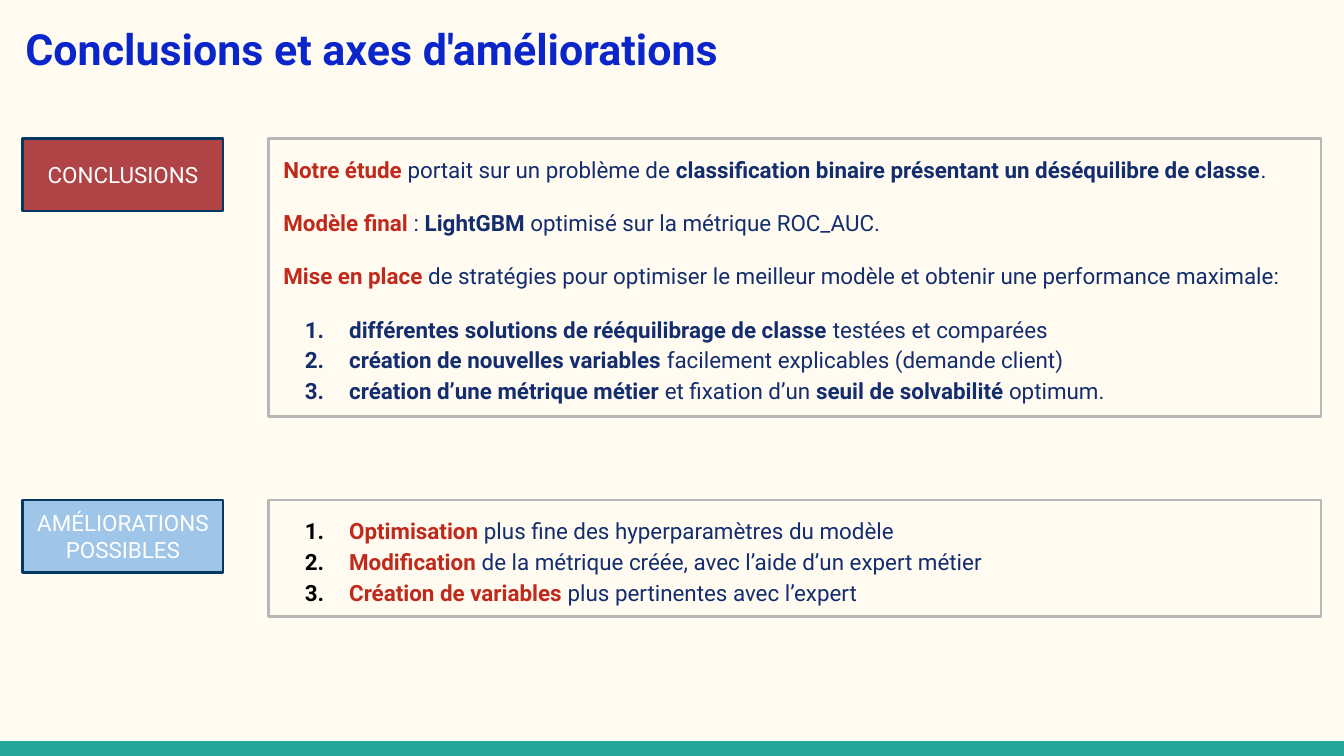
"""Build the slide of conclusions and possible improvements."""
from lxml.etree import SubElement
from pptx import Presentation
from pptx.dml.color import RGBColor
from pptx.enum.shapes import MSO_SHAPE
from pptx.enum.text import MSO_ANCHOR, PP_ALIGN
from pptx.oxml.ns import qn
from pptx.util import Inches, Pt

WIDTH = 10
HEIGHT = WIDTH * 9 / 16
FOOTER = 0.11
CREAM, TEAL, BLUE, WHITE = "FFFBF0", "26A69A", "0A26CA", "FFFFFF"
RED, NAVY, BLACK, GREY, EDGE = "BF2A1D", "132D6E", "000000", "B7B7B7", "073763"
KEY, BOLD, PLAIN = (RED, True), (NAVY, True), (NAVY, False)

TITLE = "Conclusions et axes d'améliorations"
SECTIONS = [
    {
        "label": "CONCLUSIONS", "fill": "AF4345", "top": 1.03, "height": 2.07,
        "number_color": NAVY,
        "intro": [
            [("Notre étude ", KEY), ("portait sur un problème de ", PLAIN),
             ("classification binaire présentant un déséquilibre de classe", BOLD),
             (".", PLAIN)],
            [("Modèle final ", KEY), (": ", PLAIN), ("LightGBM ", BOLD),
             ("optimisé sur la métrique ROC_AUC.", PLAIN)],
            [("Mise en place ", KEY),
             ("de stratégies pour optimiser le meilleur modèle et obtenir "
              "une performance maximale:", PLAIN)],
        ],
        "items": [
            [("différentes solutions de rééquilibrage de classe ", BOLD),
             ("testées et comparées", PLAIN)],
            [("création de nouvelles variables ", BOLD),
             ("facilement explicables (demande client)", PLAIN)],
            [("création d’une métrique métier ", BOLD), ("et fixation d’un ", PLAIN),
             ("seuil de solvabilité ", BOLD), ("optimum.", PLAIN)],
        ],
    },
    {
        "label": "AMÉLIORATIONS\nPOSSIBLES", "fill": "9FC5E8", "top": 3.72, "height": 0.87,
        "number_color": BLACK,
        "intro": [],
        "items": [
            [("Optimisation ", KEY), ("plus fine des hyperparamètres du modèle", PLAIN)],
            [("Modification ", KEY),
             ("de la métrique créée, avec l’aide d’un expert métier", PLAIN)],
            [("Création de variables ", KEY), ("plus pertinentes avec l’expert", PLAIN)],
        ],
    },
]


def rgb(value):
    return RGBColor.from_string(value)


def style(run, size, color, bold=False):
    run.font.name, run.font.size, run.font.bold = "Roboto", Pt(size), bold
    run.font.color.rgb = rgb(color)


def prepare(frame, anchor=MSO_ANCHOR.TOP):
    frame.word_wrap = True
    frame.vertical_anchor = anchor
    frame.margin_left = frame.margin_right = Inches(0.1)
    frame.margin_top = frame.margin_bottom = Inches(0.1)


def add_box(slide, place, fill=None, line=None):
    box = slide.shapes.add_shape(MSO_SHAPE.RECTANGLE, *map(Inches, place))
    box.shadow.inherit = False
    if fill:
        box.fill.solid()
        box.fill.fore_color.rgb = rgb(fill)
    else:
        box.fill.background()
    if line:
        box.line.color.rgb = rgb(line)
        box.line.width = Pt(1.5)
    else:
        box.line.fill.background()
    return box


def indent(paragraph, left, first):
    properties = paragraph._p.get_or_add_pPr()
    properties.set("marL", str(Inches(left)))
    properties.set("indent", str(Inches(first)))
    return properties


def number(paragraph, color):
    properties = indent(paragraph, 0.5, -0.33)
    SubElement(SubElement(properties, qn("a:buClr")), qn("a:srgbClr"), val=color)
    SubElement(properties, qn("a:buFont"), typeface="Roboto")
    SubElement(properties, qn("a:buAutoNum"), type="arabicPeriod")


def add_label(slide, section):
    label = add_box(slide, (0.17, section["top"], 1.49, 0.54), section["fill"], EDGE)
    frame = label.text_frame
    prepare(frame, MSO_ANCHOR.MIDDLE)
    frame.text = section["label"]
    for paragraph in frame.paragraphs:
        paragraph.alignment = PP_ALIGN.CENTER
        style(paragraph.runs[0], 12, WHITE)


def add_details(slide, section):
    details = add_box(slide, (2, section["top"], 7.83, section["height"]), line=GREY)
    frame = details.text_frame
    prepare(frame)
    intro_count = len(section["intro"])
    for index, pieces in enumerate(section["intro"] + section["items"]):
        paragraph = frame.add_paragraph() if index else frame.paragraphs[0]
        if index < intro_count:
            indent(paragraph, 0.01, 0)
        else:
            number(paragraph, section["number_color"])
        paragraph.alignment = PP_ALIGN.LEFT
        paragraph.line_spacing = 1.15
        paragraph.space_before = Pt(12 if 0 < index <= intro_count else 0)
        for text, (color, bold) in pieces:
            run = paragraph.add_run()
            run.text = text
            style(run, 12, color, bold)


def main():
    deck = Presentation()
    deck.slide_width, deck.slide_height = Inches(WIDTH), Inches(HEIGHT)
    slide = deck.slides.add_slide(deck.slide_layouts[6])
    slide.background.fill.solid()
    slide.background.fill.fore_color.rgb = rgb(CREAM)
    add_box(slide, (0, HEIGHT - FOOTER, WIDTH, FOOTER), TEAL)
    for section in SECTIONS:
        add_details(slide, section)
        add_label(slide, section)
    title = slide.shapes.add_textbox(*map(Inches, (0.09, 0.07, 9.25, 0.63))).text_frame
    prepare(title)
    title.text = TITLE
    style(title.paragraphs[0].runs[0], 23, BLUE, True)
    deck.save("out.pptx")


if __name__ == "__main__":
    main()
